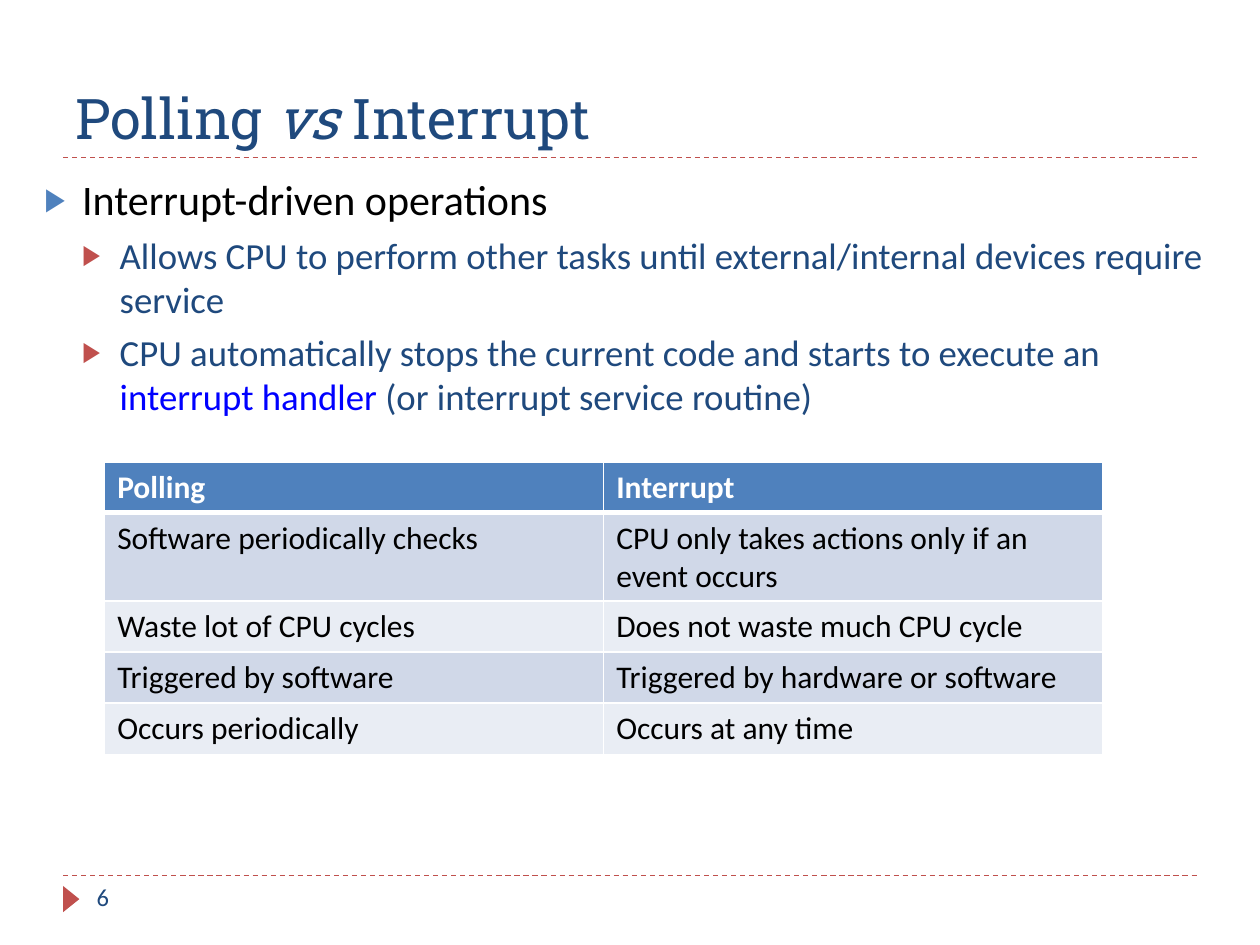
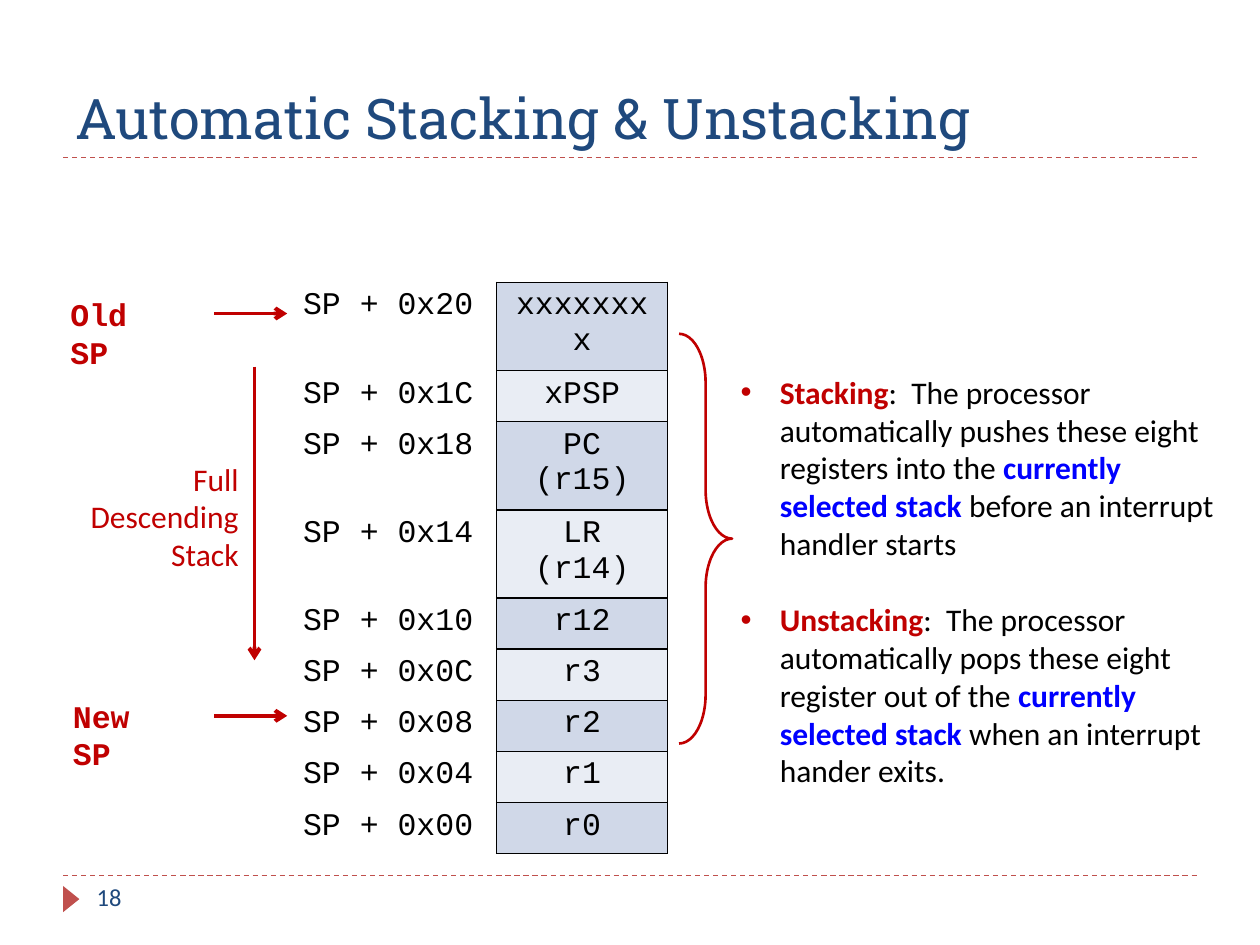
from dataclasses import dataclass
from typing import NamedTuple, Optional

from lxml import etree
from pptx import Presentation
from pptx.dml.color import RGBColor
from pptx.enum.dml import MSO_LINE
from pptx.enum.shapes import MSO_CONNECTOR, MSO_SHAPE
from pptx.enum.text import MSO_ANCHOR, MSO_AUTO_SIZE, PP_ALIGN
from pptx.oxml.ns import qn
from pptx.util import Cm, Pt

DASH = MSO_LINE.DASH
STRAIGHT = MSO_CONNECTOR.STRAIGHT
TRIANGLE = MSO_SHAPE.ISOSCELES_TRIANGLE
RIGHT_BRACE = MSO_SHAPE.RIGHT_BRACE
TOP, BOTTOM = MSO_ANCHOR.TOP, MSO_ANCHOR.BOTTOM
NO_FIT = MSO_AUTO_SIZE.NONE
LEFT, CENTER, RIGHT = PP_ALIGN.LEFT, PP_ALIGN.CENTER, PP_ALIGN.RIGHT

WHITE = RGBColor(0xFF, 0xFF, 0xFF)
BLACK = RGBColor(0x00, 0x00, 0x00)
NAVY = RGBColor(0x1F, 0x49, 0x7D)
BLUE = RGBColor(0x4F, 0x81, 0xBD)
BRICK = RGBColor(0xC0, 0x50, 0x4D)
RED = RGBColor(0xC0, 0x00, 0x00)
BRIGHT_BLUE = RGBColor(0x00, 0x00, 0xFF)
BANDS = (RGBColor(0xD0, 0xD8, 0xE8), RGBColor(0xE9, 0xED, 0xF4))

TITLE_FONT, TEXT_FONT, CODE_FONT = "Roboto Slab", "Calibri", "Courier New"
TITLE_AND_BODY, TITLE_ONLY = 1, 5
ROW_HEIGHT = 1.03


class Frame(NamedTuple):
    left: float
    top: float
    width: float
    height: float

    def lengths(self) -> list:
        return [Cm(value) for value in self]


class Bullet(NamedTuple):
    symbol: str
    indent: float
    hanging: float
    color: Optional[RGBColor] = None
    percent: int = 100


class Span(NamedTuple):
    text: str
    color: Optional[RGBColor] = None
    bold: Optional[bool] = None
    italic: Optional[bool] = None


@dataclass
class Para:
    spans: list
    size: float = 18
    font: str = TEXT_FONT
    color: RGBColor = BLACK
    bold: bool = False
    align: int = LEFT
    level: int = 0
    space_before: float = 0
    bullet: Optional[Bullet] = None


class Arrow(NamedTuple):
    x1: float
    y1: float
    x2: float
    y2: float


class Label(NamedTuple):
    frame: Frame
    para: Para


def add_bullet(para, bullet: Bullet) -> None:
    properties = para._p.get_or_add_pPr()
    properties.set("marL", str(Cm(bullet.indent)))
    properties.set("indent", str(-Cm(bullet.hanging)))
    if bullet.color is not None:
        color = etree.SubElement(properties, qn("a:buClr"))
        etree.SubElement(color, qn("a:srgbClr"), val=str(bullet.color))
    etree.SubElement(properties, qn("a:buSzPct"), val=str(bullet.percent * 1000))
    etree.SubElement(properties, qn("a:buFont"), typeface="Arial")
    etree.SubElement(properties, qn("a:buChar"), char=bullet.symbol)


def write(text_frame, paras: list) -> None:
    for index, content in enumerate(paras):
        para = text_frame.add_paragraph() if index else text_frame.paragraphs[0]
        if content.bullet:
            add_bullet(para, content.bullet)
        para.level = content.level
        para.alignment = content.align
        para.space_before = Pt(content.space_before)
        para.font.name = content.font
        para.font.size = Pt(content.size)
        para.font.bold = content.bold
        para.font.color.rgb = content.color
        for piece in content.spans:
            span = para.add_run()
            span.text = piece.text
            if piece.color is not None:
                span.font.color.rgb = piece.color
            if piece.bold is not None:
                span.font.bold = piece.bold
            if piece.italic is not None:
                span.font.italic = piece.italic


def fill_placeholder(holder, frame: Frame, anchor: int, paras: list) -> None:
    holder.left, holder.top, holder.width, holder.height = frame.lengths()
    holder.text_frame.vertical_anchor = anchor
    holder.text_frame.auto_size = NO_FIT
    write(holder.text_frame, paras)


def add_text(page, frame: Frame, paras: list) -> None:
    box = page.shapes.add_textbox(*frame.lengths())
    box.text_frame.word_wrap = True
    write(box.text_frame, paras)


def add_line(page, ends: Arrow, color: RGBColor, width: float,
             dashed: bool = False, arrowhead: bool = False) -> None:
    line = page.shapes.add_connector(STRAIGHT, *[Cm(value) for value in ends])
    line.line.color.rgb = color
    line.line.width = Pt(width)
    if dashed:
        line.line.dash_style = DASH
    if arrowhead:
        etree.SubElement(line.line._get_or_add_ln(), qn("a:tailEnd"), type="arrow")
    etree.SubElement(line._element.spPr, qn("a:effectLst"))


def set_borders(cell, widths: dict, color: RGBColor) -> None:
    properties = cell._tc.get_or_add_tcPr()
    for side in "LRTB":
        width = widths.get(side, 0)
        border = etree.SubElement(properties, qn(f"a:ln{side}"), w=str(Pt(width)))
        if width:
            paint = etree.SubElement(border, qn("a:solidFill"))
            etree.SubElement(paint, qn("a:srgbClr"), val=str(color))
        else:
            etree.SubElement(border, qn("a:noFill"))


def add_grid(page, left: float, top: float, columns: list, row_count: int):
    frame = Frame(left, top, sum(columns), ROW_HEIGHT * row_count)
    table = page.shapes.add_table(row_count, len(columns), *frame.lengths()).table
    table.first_row = False
    table.horz_banding = False
    for column, width in zip(table.columns, columns):
        column.width = Cm(width)
    return table


def add_page(deck, layout: int, title: list, number: int):
    page = deck.slides.add_slide(deck.slide_layouts[layout])
    for y in (17.65, 3.18):
        add_line(page, Arrow(1.27, y, 24.13, y), BRICK, 0.75, dashed=True)
    marker = page.shapes.add_shape(TRIANGLE, *Frame(1.17, 17.96, 0.53, 0.33).lengths())
    marker.rotation = 90
    marker.shadow.inherit = False
    marker.fill.solid()
    marker.fill.fore_color.rgb = BRICK
    marker.line.fill.background()
    fill_placeholder(page.shapes.title, Frame(1.27, 0.43, 22.86, 2.74), BOTTOM,
                     [Para(title, 32, TITLE_FONT, NAVY)])
    add_text(page, Frame(1.7, 17.65, 5.51, 1.02),
             [Para([Span(str(number))], 14, color=NAVY)])
    return page


def build_comparison(deck) -> None:
    page = add_page(deck, TITLE_AND_BODY,
                    [Span("Polling "), Span("vs", italic=True), Span(" Interrupt")], 6)

    main_bullet = Bullet("▶", 0.76, 0.76, BLUE, 76)
    sub_style = dict(size=21, color=NAVY, level=1, space_before=5,
                     bullet=Bullet("▶", 1.52, 0.76, BRICK, 76))
    fill_placeholder(page.placeholders[1], Frame(0.64, 3.38, 23.93, 13.72), TOP, [
        Para([Span("Interrupt-driven operations")], 24, bullet=main_bullet),
        Para([Span("Allows CPU to perform other tasks until external/internal "
                   "devices require service")], **sub_style),
        Para([Span("CPU automatically stops the current code and starts to execute an "),
              Span("interrupt handler ", BRIGHT_BLUE),
              Span("(or interrupt service routine)")], **sub_style),
    ])

    rows = [
        ("Polling", "Interrupt"),
        ("Software periodically checks", "CPU only takes actions only if an event occurs"),
        ("Waste lot of CPU cycles", "Does not waste much CPU cycle"),
        ("Triggered by software", "Triggered by hardware or software"),
        ("Occurs periodically", "Occurs at any time"),
    ]
    table = add_grid(page, 2.11, 9.32, [10.06, 10.06], len(rows))
    table.rows[0].height = Cm(0.41)
    for row, texts in enumerate(rows):
        header = row == 0
        for column, text in enumerate(texts):
            cell = table.cell(row, column)
            set_borders(cell, {"L": 1, "R": 1, "T": 3 if row == 1 else 1,
                               "B": 3 if header else 1}, WHITE)
            cell.fill.solid()
            cell.fill.fore_color.rgb = BLUE if header else BANDS[(row - 1) % 2]
            write(cell.text_frame, [Para([Span(text)], bold=header,
                                         color=WHITE if header else BLACK)])


def build_stacking(deck) -> None:
    page = add_page(deck, TITLE_ONLY, [Span("Automatic Stacking & Unstacking")], 18)

    registers = ["xxxxxxxx", "xPSP", "PC (r15)", "LR (r14)", "r12", "r3", "r2", "r1", "r0"]
    table = add_grid(page, 5.64, 5.69, [4.37, 3.45], len(registers))
    for row, register in enumerate(registers):
        offset = 4 * (len(registers) - 1 - row)
        address, content = table.cell(row, 0), table.cell(row, 1)
        set_borders(address, {"R": 1}, BLACK)
        address.fill.background()
        set_borders(content, dict.fromkeys("LRTB", 1), BLACK)
        content.fill.solid()
        content.fill.fore_color.rgb = BANDS[row % 2]
        for cell, text in ((address, f"SP + 0x{offset:02X}"), (content, register)):
            write(cell.text_frame, [Para([Span(text)], font=CODE_FONT, align=CENTER)])

    dot = Bullet("•", 0.79, 0.79)
    add_text(page, Frame(14.68, 7.39, 10.36, 8.71), [
        Para([Span("Stacking", RED, True),
              Span(":  The processor automatically pushes these eight registers into the "),
              Span("currently selected stack ", BRIGHT_BLUE, True),
              Span("before an interrupt handler starts")], bullet=dot),
        Para([Span("Unstacking", RED, True),
              Span(":  The processor automatically pops these eight register out of the "),
              Span("currently selected stack", BRIGHT_BLUE, True),
              Span(" when an interrupt hander exits.")], bullet=dot, space_before=22),
    ])

    brace = page.shapes.add_shape(RIGHT_BRACE, *Frame(13.69, 6.73, 1.07, 8.26).lengths())
    brace.adjustments[0] = 0.92
    brace.adjustments[1] = 0.5
    brace.shadow.inherit = False
    brace.fill.background()
    brace.line.color.rgb = RED
    brace.line.width = Pt(1.5)

    pointer_style = dict(font=CODE_FONT, color=RED, bold=True)
    labels = [
        Label(Frame(1.17, 5.82, 2.62, 1.02), Para([Span("Old SP")], **pointer_style)),
        Label(Frame(1.22, 13.92, 2.62, 1.02), Para([Span("New SP")], **pointer_style)),
        Label(Frame(1.55, 9.14, 3.51, 2.57),
              Para([Span("Full Descending Stack")], color=RED, align=RIGHT)),
    ]
    for label in labels:
        add_text(page, label.frame, [label.para])

    arrows = [
        Arrow(4.32, 6.32, 5.79, 6.32),
        Arrow(4.32, 14.43, 5.79, 14.43),
        Arrow(5.13, 7.39, 5.13, 13.31),
    ]
    for arrow in arrows:
        add_line(page, arrow, RED, 2.25, arrowhead=True)


def main() -> None:
    deck = Presentation()
    deck.slide_width, deck.slide_height = Cm(25.4), Cm(19.05)
    build_comparison(deck)
    build_stacking(deck)
    deck.save("out.pptx")


if __name__ == "__main__":
    main()
